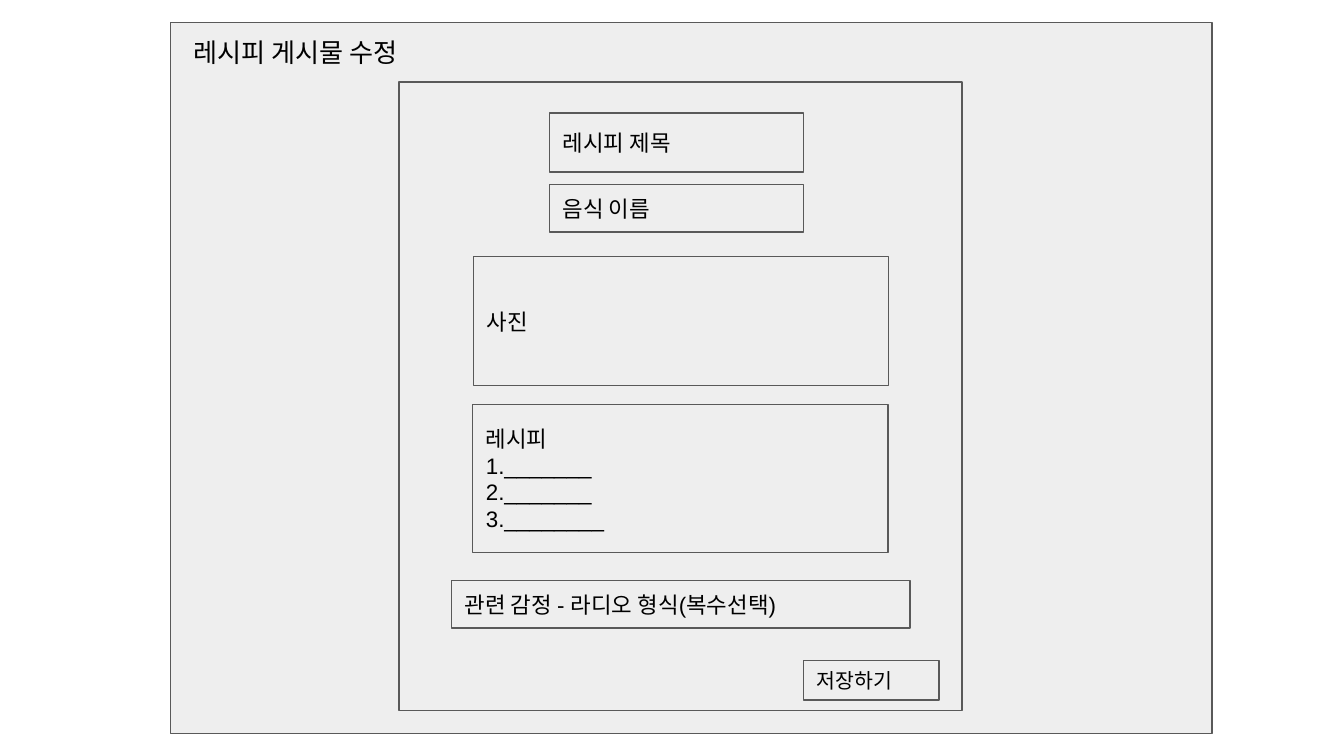
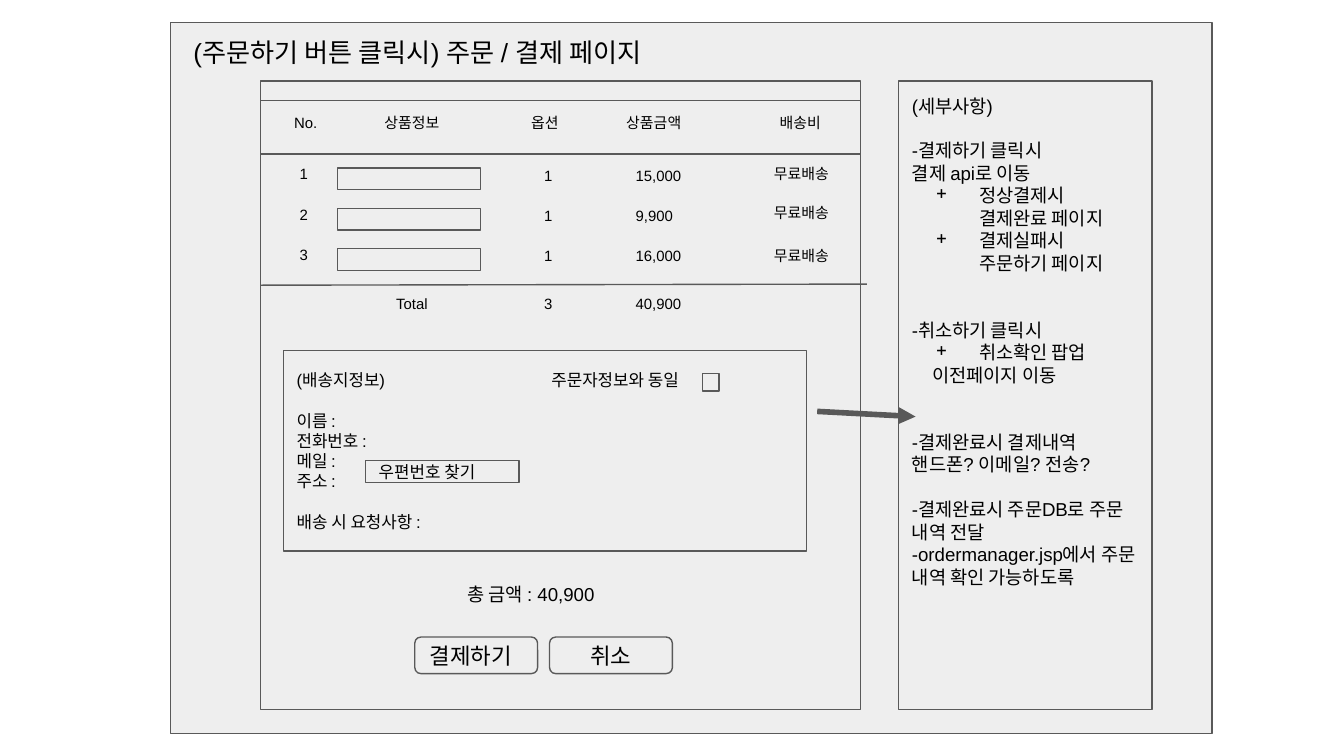
from lxml import etree
from pptx import Presentation
from pptx.dml.color import RGBColor
from pptx.enum.shapes import MSO_CONNECTOR, MSO_SHAPE
from pptx.enum.text import MSO_ANCHOR, MSO_AUTO_SIZE, PP_ALIGN
from pptx.oxml.ns import qn
from pptx.util import Pt

COLORS = {"fill": "EEEEEE", "line": "595959", "text": "000000"}
FONT = "Arial"
RECTANGLE = MSO_SHAPE.RECTANGLE
ROUNDED = MSO_SHAPE.ROUNDED_RECTANGLE
STRAIGHT = MSO_CONNECTOR.STRAIGHT
LEFT = PP_ALIGN.LEFT
CENTER = PP_ALIGN.CENTER
TOP = MSO_ANCHOR.TOP
MIDDLE = MSO_ANCHOR.MIDDLE
GROW = MSO_AUTO_SIZE.SHAPE_TO_FIT_TEXT
INSET = Pt(7.2)


def add_item(slide, area, lines=(), size=12, outline=RECTANGLE, align=LEFT, anchor=MIDDLE):
    """Add an outlined box, or a plain text box when outline is None."""
    lengths = [Pt(value) for value in area]
    if outline is None:
        shape = slide.shapes.add_textbox(*lengths)
        shape.text_frame.auto_size = GROW
        anchor = TOP
    else:
        shape = slide.shapes.add_shape(outline, *lengths)
        shape.shadow.inherit = False
        shape.fill.solid()
        shape.fill.fore_color.rgb = RGBColor.from_string(COLORS["fill"])
        shape.line.color.rgb = RGBColor.from_string(COLORS["line"])
        shape.line.width = Pt(0.75)
    frame = shape.text_frame
    frame.word_wrap = True
    frame.vertical_anchor = anchor
    frame.margin_left = frame.margin_right = INSET
    frame.margin_top = frame.margin_bottom = INSET
    for index, line in enumerate(lines):
        paragraph = frame.add_paragraph() if index else frame.paragraphs[0]
        paragraph.text = line
        paragraph.alignment = align
        paragraph.font.name = FONT
        paragraph.font.size = Pt(size)
        paragraph.font.color.rgb = RGBColor.from_string(COLORS["text"])
    return shape


def add_line(slide, ends, width):
    line = slide.shapes.add_connector(STRAIGHT, *[Pt(value) for value in ends])
    line.line.color.rgb = RGBColor.from_string(COLORS["line"])
    line.line.width = Pt(width)
    etree.SubElement(line._element.spPr, qn("a:effectLst"))
    return line


presentation = Presentation()
presentation.slide_width = Pt(720)
presentation.slide_height = Pt(405)

# Shared page frame, content panel and title
pages = [
    ("레시피 게시물 수정", (213.8, 43.9, 301.7, 336.6)),
    ("(주문하기 버튼 클릭시) 주문 / 결제 페이지", (139.6, 43.4, 321.4, 336.6)),
]
slides = []
for title, panel in pages:
    slide = presentation.slides.add_slide(presentation.slide_layouts[6])
    add_item(slide, (91.4, 12.2, 558, 380.9))
    add_item(slide, panel)
    add_item(slide, (96.5, 12.2, 532, 31.7), [title], 14, None)
    slides.append(slide)
recipe_slide, order_slide = slides

# Recipe form fields
fields = [
    ((294.4, 60.6, 136, 31.6), ["레시피 제목"], 12),
    ((253.6, 137.4, 222.5, 69.2), ["사진"], 12),
    ((253.2, 216.8, 222.5, 79.2), ["레시피\v1._______", "2._______", "3.________"], 12),
    ((241.8, 311.2, 245.8, 25.4), ["관련 감정 - 라디오 형식(복수선택)"], 12),
    ((294.4, 98.7, 136, 25.6), ["음식 이름"], 12),
    ((430.4, 353.9, 72.7, 21.1), ["저장하기"], 11),
]
for area, lines, size in fields:
    add_item(recipe_slide, area, lines, size)

# Delivery details: gap before and tab stop instead of blank text
delivery = add_item(order_slide, (151.8, 187.8, 280.4, 107.4), [
    "(배송지정보)\t주문자정보와 동일", "이름 :", "전화번호 :", "메일 :", "주소 :",
    "배송 시 요청사항 :"], 9)
paragraphs = delivery.text_frame.paragraphs
for index in (1, 5):
    paragraphs[index].space_before = Pt(10.9)
tab_list = etree.Element(qn("a:tabLst"))
etree.SubElement(tab_list, qn("a:tab"), pos=str(Pt(136.5)), algn="l")
paragraphs[0]._p.get_or_add_pPr().insert(0, tab_list)

# Detail notes: text, gap before, left indent, bulleted
notes = [
    ("(세부사항)", 0, 0, False),
    ("-결제하기 클릭시", 12, 0, False),
    ("결제 api로 이동", 0, 0, False),
    ("정상결제시", 0, 36, True),
    ("결제완료 페이지", 0, 36, False),
    ("결제실패시", 0, 36, True),
    ("주문하기 페이지", 0, 36, False),
    ("-취소하기 클릭시", 24, 0, False),
    ("취소확인 팝업", 0, 36, True),
    ("이전페이지 이동", 0, 11, False),
    ("-결제완료시 결제내역", 24, 0, False),
    ("핸드폰? 이메일? 전송?", 0, 0, False),
    ("-결제완료시 주문DB로 주문 내역 전달", 12, 0, False),
    ("-ordermanager.jsp에서 주문 내역 확인 가능하도록", 0, 0, False),
]
note_box = add_item(order_slide, (481.5, 43.4, 135.6, 336.6),
                    [note[0] for note in notes], 10, anchor=TOP)
for paragraph, (_, gap, indent, bulleted) in zip(note_box.text_frame.paragraphs, notes):
    properties = paragraph._p.get_or_add_pPr()
    properties.set("marL", str(Pt(indent)))
    properties.set("indent", str(Pt(-23) if bulleted else 0))
    if bulleted:
        bullet = etree.Element(qn("a:buChar"), char="+")
        properties.insert(0, bullet)
    if gap:
        paragraph.space_before = Pt(gap)

# Arrow to the notes
arrow = add_line(order_slide, (437.8, 220.4, 490.5, 223.2), 3)
etree.SubElement(arrow.line._get_or_add_ln(), qn("a:tailEnd"), type="triangle")

# Buttons and grand total
for left, label, align in ((222.2, "결제하기", LEFT), (294.4, "취소", CENTER)):
    add_item(order_slide, (left, 341.3, 65.8, 19.6), [label], 12, ROUNDED, align)
add_item(order_slide, (243.4, 306, 95.8, 26.6), ["총 금액 : 40,900"], 10, None)

# Order list header
add_item(order_slide, (139.6, 53.9, 321.4, 28.7))
headers = [(139.7, 48.2, "No."), (191.5, 58.3, "상품정보"), (262.8, 58.3, "옵션"),
           (321.1, 58.3, "상품금액"), (399.6, 58.3, "배송비")]
for left, width, label in headers:
    add_item(order_slide, (left, 56.2, width, 24.5), [label], 8, None, CENTER)

# Order rows: price and top of the delivery text
orders = [("15,000", 83.5), ("9,900", 104.4), ("16,000", 127.4)]
for row, (price, delivery_top) in enumerate(orders):
    top = 84.2 + 21.6 * row
    add_item(order_slide, (180.7, top + 5.8, 76.7, 11.7))
    cells = [(153.4, top - 0.6, 15.1, str(row + 1)), (284.4, top, 15.1, "1"),
             (333.4, top, 48.2, price), (407.5, delivery_top, 48.2, "무료배송")]
    for left, cell_top, width, value in cells:
        add_item(order_slide, (left, cell_top, width, 24.5), [value], 8, None)

# Totals under the rule
add_line(order_slide, (139.3, 152.8, 464.4, 152.2), 0.75)
for left, width, value, align in ((333.4, 48.2, "40,900", LEFT), (284.4, 15.1, "3", LEFT),
                                  (191.5, 58.3, "Total", CENTER)):
    add_item(order_slide, (left, 153, width, 24.5), [value], 8, None, align)

# Postcode button and same-as-buyer checkbox
add_item(order_slide, (195.8, 246.7, 82.3, 11.7), ["우편번호 찾기"], 9)
add_item(order_slide, (376.4, 200.2, 8.7, 9.2))

presentation.save("out.pptx")
